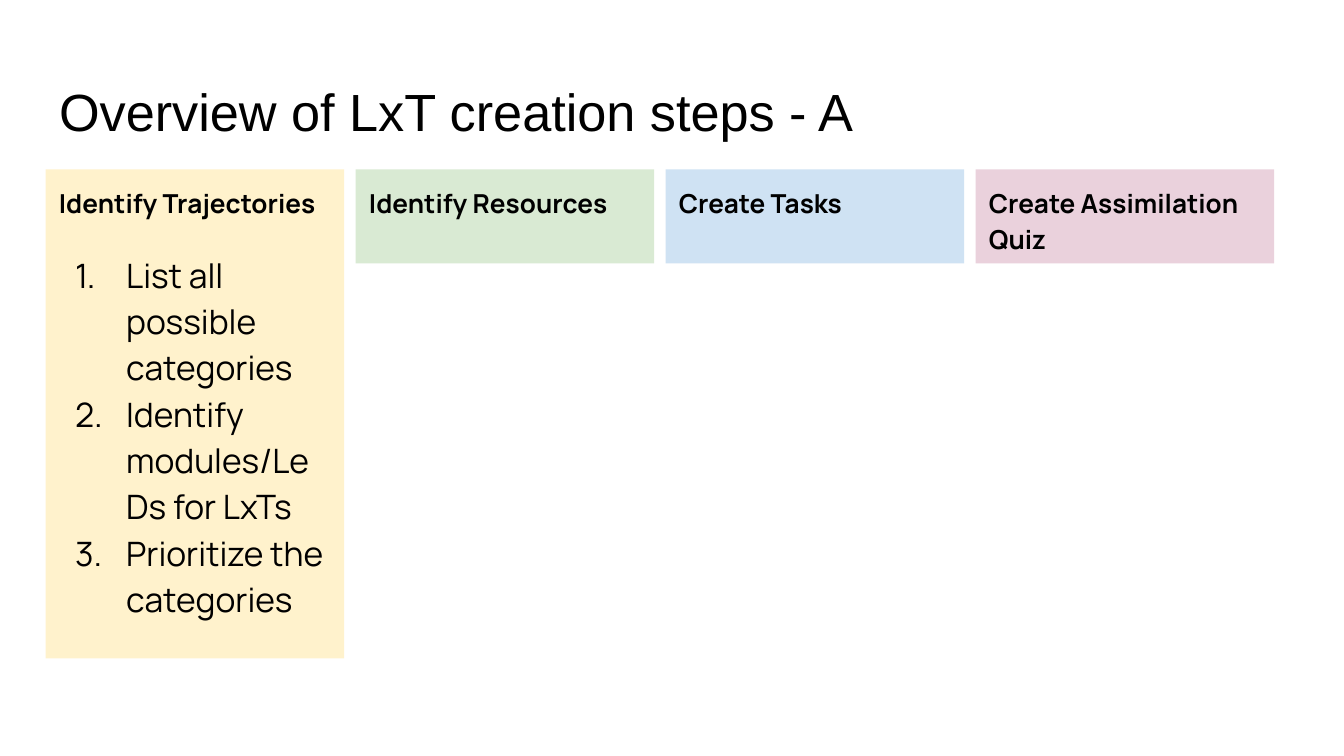
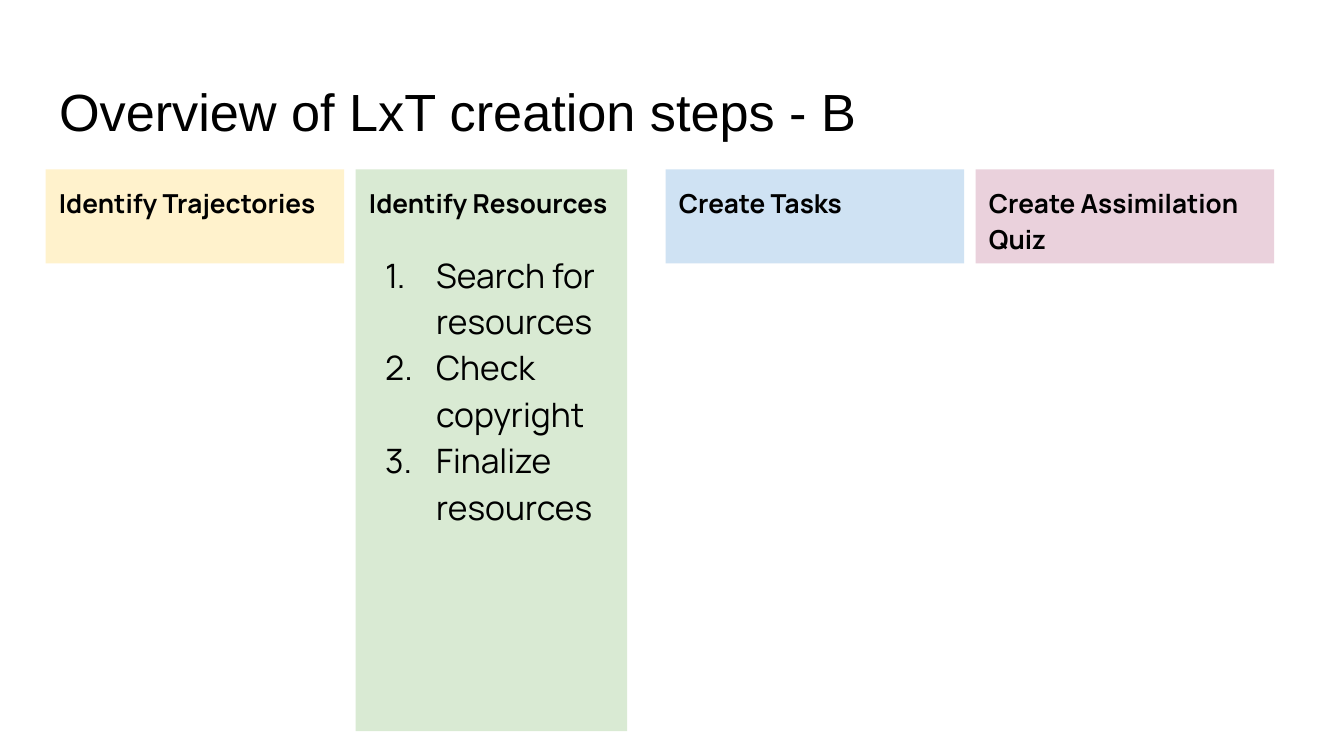
from lxml import etree
from pptx import Presentation
from pptx import util as u
from pptx.dml.color import RGBColor
from pptx.enum import shapes, text
from pptx.oxml.ns import qn

BLACK = RGBColor(0x00, 0x00, 0x00)
CREAM = RGBColor(0xFF, 0xF2, 0xCC)
GREEN = RGBColor(0xD9, 0xEA, 0xD3)
BLUE = RGBColor(0xCF, 0xE2, 0xF3)
PINK = RGBColor(0xEA, 0xD1, 0xDC)

# Widescreen slide, 16:9
SLIDE_WIDTH = 10
SLIDE_HEIGHT = SLIDE_WIDTH * 9 / 16

# Shared column grid
LEFT, LAST_LEFT, CARD_TOP = 0.34, 7.26, 1.26
CARD_WIDTH, CARD_HEIGHT = 2.22, 0.7
STAGES = [
    ("Identify Trajectories", CREAM),
    ("Identify Resources", GREEN),
    ("Create Tasks", BLUE),
    ("Create Assimilation Quiz", PINK),
]
PITCH = (LAST_LEFT - LEFT) / (len(STAGES) - 1)

# Shared text formats
TITLE_FONT = {"name": "Arial", "size": u.Pt(28), "bold": False}
HEADING_FONT = {"name": "Manrope", "size": u.Pt(14), "bold": True}
STEP_FONT = {"name": "Manrope", "size": u.Pt(18), "bold": False}
FRAME_FORMAT = {
    "word_wrap": True,
    "auto_size": text.MSO_AUTO_SIZE.NONE,
    "vertical_anchor": text.MSO_ANCHOR.TOP,
    "margin_left": u.Inches(0.1),
    "margin_top": u.Inches(0.1),
    "margin_right": u.Inches(0.1),
    "margin_bottom": u.Inches(0.1),
}

# One entry per slide: title, open column, its width and height, its steps
SLIDES = [
    ("Overview of LxT creation steps - A", 0, CARD_WIDTH, 3.64,
     ["List all possible categories", "Identify modules/LeDs for LxTs",
      "Prioritize the categories"]),
    ("Overview of LxT creation steps - B", 1, 2.02, 4.18,
     ["Search for resources", "Check copyright", "Finalize resources"]),
]


def apply_format(target, values):
    for name, value in values.items():
        setattr(target, name, value)


def write_paragraph(paragraph, wording, font, **layout):
    apply_format(paragraph, {"alignment": text.PP_ALIGN.LEFT, **layout})
    run = paragraph.add_run()
    run.text = wording
    apply_format(run.font, font)
    run.font.color.rgb = BLACK


def number_paragraph(paragraph):
    properties = paragraph._p.get_or_add_pPr()
    properties.set("marL", str(u.Inches(0.5)))
    properties.set("indent", str(u.Inches(-0.38)))
    colour = etree.SubElement(properties, qn("a:buClr"))
    etree.SubElement(colour, qn("a:srgbClr"), val=str(BLACK))
    etree.SubElement(properties, qn("a:buFont"), typeface="Manrope")
    etree.SubElement(properties, qn("a:buAutoNum"), type="arabicPeriod")


def add_title(slide, wording):
    title = slide.shapes.title
    apply_format(title, {"left": u.Inches(LEFT), "top": u.Inches(0.49),
                         "width": u.Inches(9.32), "height": u.Inches(0.63)})
    apply_format(title.text_frame, FRAME_FORMAT)
    write_paragraph(title.text_frame.paragraphs[0], wording, TITLE_FONT)


def add_card(slide, column, width=CARD_WIDTH, height=CARD_HEIGHT, steps=()):
    heading, colour = STAGES[column]
    card = slide.shapes.add_shape(
        shapes.MSO_SHAPE.RECTANGLE, u.Inches(LEFT + column * PITCH),
        u.Inches(CARD_TOP), u.Inches(width), u.Inches(height))
    card.shadow.inherit = False
    card.fill.solid()
    card.fill.fore_color.rgb = colour
    card.line.fill.background()

    frame = card.text_frame
    apply_format(frame, FRAME_FORMAT)
    write_paragraph(frame.paragraphs[0], heading, HEADING_FONT, line_spacing=1.15,
                    space_after=u.Pt(0 if steps else 16))
    for index, step in enumerate(steps):
        paragraph = frame.add_paragraph()
        write_paragraph(paragraph, step, STEP_FONT, line_spacing=1.15,
                        space_before=u.Pt(0 if index else 16))
        number_paragraph(paragraph)


def main():
    presentation = Presentation()
    presentation.slide_width = u.Inches(SLIDE_WIDTH)
    presentation.slide_height = u.Inches(SLIDE_HEIGHT)
    title_only = presentation.slide_layouts[5]

    for title, open_column, width, height, steps in SLIDES:
        slide = presentation.slides.add_slide(title_only)
        add_title(slide, title)
        for column in range(len(STAGES)):
            if column == open_column:
                add_card(slide, column, width, height, steps)
            else:
                add_card(slide, column)

    presentation.save("out.pptx")


if __name__ == "__main__":
    main()
